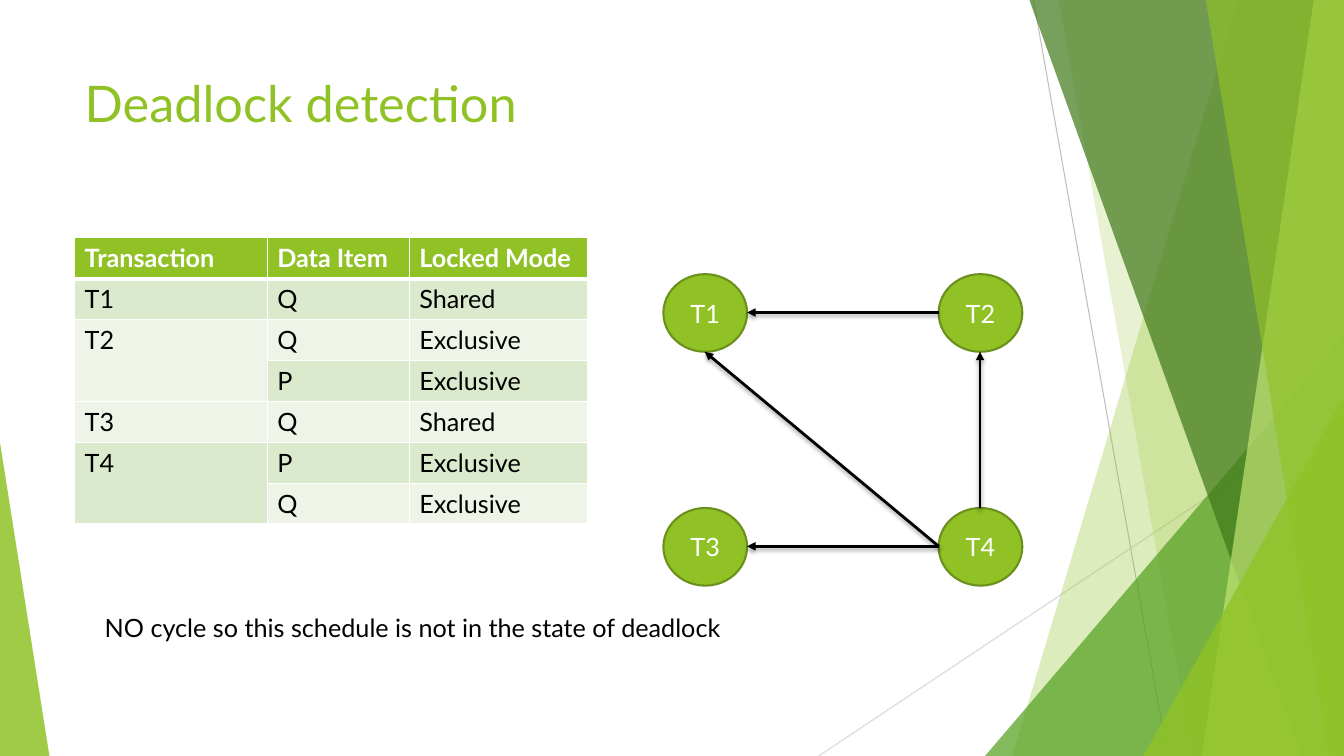
from dataclasses import dataclass
from typing import Optional

from lxml import etree
from pptx import Presentation
from pptx import util as u
from pptx.dml.color import RGBColor
from pptx.enum import shapes, text
from pptx.oxml import parse_xml
from pptx.oxml.ns import nsdecls, qn

SLIDE_WIDTH, SLIDE_HEIGHT = 1333, 750
EMU_PER_PX = 9144  # 100 px to the inch


@dataclass(frozen=True)
class Theme:
    font: str = "Lato"
    title_size: int = 36
    body_size: int = 18
    green: str = "90C226"
    leaf: str = "54A021"
    forest: str = "3F7819"
    lime: str = "C0E474"
    node_edge: str = "6B901C"
    bands: tuple[str, str] = ("EEF4E8", "DBE9CD")
    white: str = "FFFFFF"
    black: str = "000000"
    rule_dark: str = "BFBFBF"
    rule_light: str = "D9D9D9"


THEME = Theme()


@dataclass(frozen=True)
class Facet:
    """A band running to the right edge, given by its left side at top and bottom."""
    top_x: int
    bottom_x: int
    color: str
    opacity: int


@dataclass(frozen=True)
class Corner:
    """A right triangle standing on the bottom edge; apex is 0 (left) or 1 (right)."""
    left: int
    top: int
    width: int
    apex: int
    color: str
    opacity: int


@dataclass(frozen=True)
class Node:
    label: str
    left: int
    top: int
    width: int = 83
    height: int = 77

    def side(self, name: str) -> tuple[int, int]:
        middle_x, middle_y = self.left + self.width // 2, self.top + self.height // 2
        return {"top": (middle_x, self.top), "bottom": (middle_x, self.top + self.height),
                "left": (self.left, middle_y), "right": (self.left + self.width, middle_y)}[name]


@dataclass(frozen=True)
class Edge:
    start: str
    start_side: str
    end: str
    end_side: str


BACKDROP = (
    Facet(1228, 1004, THEME.green, 30),
    Facet(1050, 1183, THEME.green, 20),
    Corner(977, 333, 356, 1, THEME.leaf, 72),
    Facet(1021, 1291, THEME.forest, 70),
    Facet(1303, 1192, THEME.lime, 70),
    Facet(1196, 1318, THEME.green, 65),
    Corner(1134, 393, 199, 1, THEME.green, 80),
    Corner(0, 439, 49, 0, THEME.green, 85),
)
NODES = {node.label: node for node in (
    Node("T1", 658, 272), Node("T2", 931, 272), Node("T3", 658, 504), Node("T4", 931, 504))}
EDGES = (
    Edge("T2", "left", "T1", "right"),
    Edge("T4", "top", "T2", "bottom"),
    Edge("T4", "left", "T1", "bottom"),
    Edge("T4", "left", "T3", "right"),
)
COLUMN_WIDTHS = (191, 141, 177)
LOCKS = (
    ("Transaction", "Data Item", "Locked Mode"),
    ("T1", "Q", "Shared"),
    ("T2", "Q", "Exclusive"),
    ("", "P", "Exclusive"),
    ("T3", "Q", "Shared"),
    ("T4", "P", "Exclusive"),
    ("", "Q", "Exclusive"),
)


def px(*lengths: int) -> list[u.Emu]:
    return [u.Emu(length * EMU_PER_PX) for length in lengths]


def write(frame, words: str, *, size: int = THEME.body_size, color: str = THEME.black,
          bold: bool = False, align=text.PP_ALIGN.LEFT) -> None:
    paragraph = frame.paragraphs[0]
    paragraph.alignment = align
    run = paragraph.add_run()
    run.text = words
    run.font.name = THEME.font
    run.font.size = u.Pt(size)
    run.font.bold = bold
    run.font.color.rgb = RGBColor.from_string(color)


def paint(shape, color: str, opacity: int = 100) -> None:
    shape.shadow.inherit = False
    shape.line.fill.background()
    shape.fill.solid()
    shape.fill.fore_color.rgb = RGBColor.from_string(color)
    if opacity < 100:
        srgb = shape.fill._xPr.find(qn("a:solidFill"))[0]
        etree.SubElement(srgb, qn("a:alpha")).set("val", str(opacity * 1000))


def add_line(slide, start: tuple[int, int], end: tuple[int, int], color: str,
             width: float, effect: str = ""):
    line = slide.shapes.add_connector(shapes.MSO_CONNECTOR.STRAIGHT, *px(*start, *end))
    line.line.color.rgb = RGBColor.from_string(color)
    line.line.width = u.Pt(width)
    line._element.spPr.append(
        parse_xml(f'<a:effectLst {nsdecls("a")}>{effect}</a:effectLst>'))
    return line


def add_backdrop(slide) -> None:
    add_line(slide, (1025, 0), (1158, SLIDE_HEIGHT), THEME.rule_dark, 0.75)
    add_line(slide, (SLIDE_WIDTH, 403), (812, SLIDE_HEIGHT), THEME.rule_light, 0.75)
    for piece in BACKDROP:
        if isinstance(piece, Facet):
            outline = slide.shapes.build_freeform(piece.top_x, 0, scale=EMU_PER_PX)
            outline.add_line_segments([(SLIDE_WIDTH, 0), (SLIDE_WIDTH, SLIDE_HEIGHT),
                                       (piece.bottom_x, SLIDE_HEIGHT)])
            shape = outline.convert_to_shape()
        else:
            shape = slide.shapes.add_shape(
                shapes.MSO_SHAPE.ISOSCELES_TRIANGLE,
                *px(piece.left, piece.top, piece.width, SLIDE_HEIGHT - piece.top))
            shape.adjustments[0] = piece.apex
        paint(shape, piece.color, piece.opacity)


def set_borders(cell, top: int, bottom: int) -> None:
    """Draw white borders; top and bottom are widths in points."""
    properties = cell._tc.get_or_add_tcPr()
    for index, (side, width) in enumerate((("L", 1), ("R", 1), ("T", top), ("B", bottom))):
        properties.insert(index, parse_xml(
            f'<a:ln{side} {nsdecls("a")} w="{u.Pt(width)}"><a:solidFill>'
            f'<a:srgbClr val="{THEME.white}"/></a:solidFill></a:ln{side}>'))


def add_lock_table(slide) -> None:
    frame = slide.shapes.add_table(len(LOCKS), len(COLUMN_WIDTHS),
                                   *px(74, 236, sum(COLUMN_WIDTHS), 284))
    table = frame.table
    for column, width in zip(table.columns, px(*COLUMN_WIDTHS)):
        column.width = width
    for row, words in enumerate(LOCKS):
        header = row == 0
        for column, word in enumerate(words):
            cell = table.cell(row, column)
            cell.fill.solid()
            cell.fill.fore_color.rgb = RGBColor.from_string(
                THEME.green if header else THEME.bands[row % 2])
            set_borders(cell, top=3 if row == 1 else 1, bottom=3 if header else 1)
            if word:
                write(cell.text_frame, word, bold=header,
                      color=THEME.white if header else THEME.black)
            else:
                table.cell(row - 1, column).merge(cell)


def add_wait_graph(slide) -> None:
    for node in NODES.values():
        shape = slide.shapes.add_shape(shapes.MSO_SHAPE.OVAL,
                                       *px(node.left, node.top, node.width, node.height))
        paint(shape, THEME.green)
        shape.line.color.rgb = RGBColor.from_string(THEME.node_edge)
        shape.line.width = u.Pt(1.5)
        shape.text_frame.vertical_anchor = text.MSO_ANCHOR.MIDDLE
        write(shape.text_frame, node.label, color=THEME.white, align=text.PP_ALIGN.CENTER)
    shadow = (f'<a:outerShdw blurRad="{u.Pt(3)}" dist="{u.Pt(2)}" dir="5400000" rotWithShape="0">'
              f'<a:srgbClr val="{THEME.black}"><a:alpha val="35000"/></a:srgbClr></a:outerShdw>')
    for edge in EDGES:
        arrow = add_line(slide, NODES[edge.start].side(edge.start_side),
                         NODES[edge.end].side(edge.end_side), THEME.black, 2, shadow)
        etree.SubElement(arrow.line._get_or_add_ln(), qn("a:tailEnd")).set("type", "triangle")


def add_title(slide, words: str) -> None:
    title = slide.shapes.title
    title.left, title.top, title.width, title.height = px(74, 67, 940, 144)
    title.text_frame.vertical_anchor = text.MSO_ANCHOR.TOP
    write(title.text_frame, words, size=THEME.title_size, color=THEME.green)


def add_conclusion(slide, words: str) -> None:
    box = slide.shapes.add_textbox(*px(94, 603, 722, 40))
    box.text_frame.word_wrap = True
    write(box.text_frame, words)


def main() -> None:
    presentation = Presentation()
    presentation.slide_width, presentation.slide_height = px(SLIDE_WIDTH, SLIDE_HEIGHT)
    slide = presentation.slides.add_slide(presentation.slide_layouts[5])
    add_backdrop(slide)
    add_title(slide, "Deadlock detection")
    add_lock_table(slide)
    add_wait_graph(slide)
    add_conclusion(slide, "NO cycle so this schedule is not in the state of deadlock")
    presentation.save("out.pptx")


if __name__ == "__main__":
    main()
